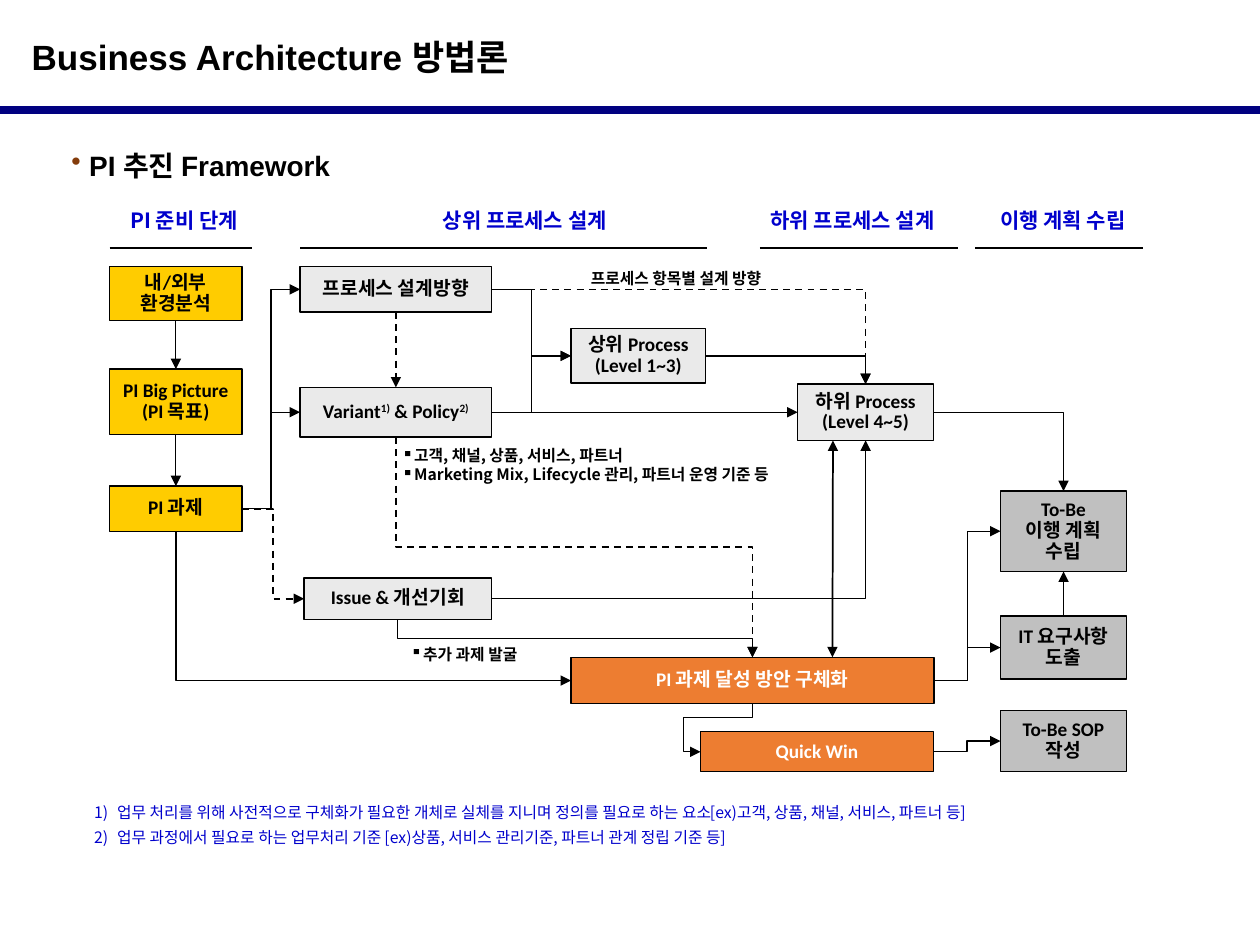
from lxml.etree import SubElement
from pptx import Presentation
from pptx.dml.color import RGBColor
from pptx.enum.dml import MSO_LINE
from pptx.enum.shapes import MSO_CONNECTOR, MSO_SHAPE
from pptx.enum.text import MSO_ANCHOR, MSO_AUTO_SIZE, PP_ALIGN
from pptx.oxml.ns import qn
from pptx.util import Cm, Pt

BLACK = RGBColor(0x00, 0x00, 0x00)
WHITE = RGBColor(0xFF, 0xFF, 0xFF)
NAVY = RGBColor(0x00, 0x00, 0x80)
BLUE = RGBColor(0x00, 0x00, 0xCC)
BROWN = RGBColor(0x84, 0x3C, 0x0B)
YELLOW = RGBColor(0xFF, 0xCC, 0x00)
PALE = RGBColor(0xEA, 0xEA, 0xEA)
GRAY = RGBColor(0xC0, 0xC0, 0xC0)
ORANGE = RGBColor(0xED, 0x7D, 0x31)

KOREAN = "Noto Sans CJK KR"
TITLE = {"size": Pt(20), "bold": True, "name": "Arial"}
SUBTITLE = {"size": Pt(16), "bold": True, "name": "Arial"}
STAGE = {"size": Pt(12), "bold": True, "name": KOREAN}
NODE = {"size": Pt(11), "bold": True, "name": "Calibri"}
NOTE = {"size": Pt(9), "bold": True, "name": KOREAN}
FOOTNOTE = {"size": Pt(9), "bold": False, "name": KOREAN}
NO_MARGIN = (0, 0, 0, 0)
DEFAULT_MARGIN = (0.25, 0.13, 0.25, 0.13)
SIDES = {"left": (0, 0.5), "right": (1, 0.5), "top": (0.5, 0), "bottom": (0.5, 1),
         "bottom left": (0.26, 1), "top right": (0.72, 0)}

STAGES = [
    ("PI 준비 단계", 0, 2.87, -0.15, 3.3),
    ("상위 프로세스 설계", 3.84, 8.2, 5.46, 5.82),
    ("하위 프로세스 설계", 13.11, 3.99, 12.67, 4.62),
    ("이행 계획 수립", 17.45, 3.38, 17.5, 3.43),
]
NODES = {
    "analysis": ((0, 0, 2.67, 1.09), YELLOW, ["내/외부", "환경분석"]),
    "picture": ((0, 2.06, 2.67, 1.32), YELLOW, ["PI Big Picture", "(PI 목표)"]),
    "task": ((0, 4.42, 2.67, 0.91), YELLOW, ["PI 과제"]),
    "direction": ((3.84, 0, 3.86, 0.91), PALE, ["프로세스 설계방향"]),
    "variant": ((3.84, 2.43, 3.86, 1), PALE, [("Variant", "1)", " & Policy", "2)")]),
    "upper": ((9.3, 1.25, 2.72, 1.09), PALE, ["상위 Process", "(Level 1~3)"]),
    "issue": ((3.92, 6.27, 3.78, 0.84), PALE, ["Issue & 개선기회"]),
    "lower": ((13.87, 2.36, 2.74, 1.14), PALE, ["하위 Process", "(Level 4~5)"]),
    "plan": ((17.96, 4.52, 2.54, 1.62), GRAY, ["To-Be", "이행 계획", "수립"]),
    "system": ((17.96, 7.04, 2.54, 1.27), GRAY, ["IT 요구사항", "도출"]),
    "procedure": ((17.96, 8.94, 2.54, 1.24), GRAY, ["To-Be SOP", "작성"]),
    "solution": ((9.3, 7.87, 7.32, 0.94), ORANGE, ["PI 과제 달성 방안 구체화"]),
    "quick win": ((11.91, 9.37, 4.7, 0.81), ORANGE, ["Quick Win"]),
}
DASHED = {"width": Pt(1), "dash_style": MSO_LINE.DASH}
SOLID = {"width": Pt(0.75)}
ARROWS = [
    ("analysis", "bottom", "picture", "top", "straight", SOLID),
    ("picture", "bottom", "task", "top", "straight", SOLID),
    ("task", "right", "direction", "left", "across", SOLID),
    ("task", "right", "variant", "left", "across", SOLID),
    ("task", "right", "issue", "left", "across", DASHED),
    ("task", "bottom", "solution", "left", "down corner", SOLID),
    ("direction", "bottom", "variant", "top", "straight", DASHED),
    ("direction", "right", "upper", "left", "across", SOLID),
    ("direction", "right", "lower", "top", "corner", DASHED),
    ("variant", "right", "upper", "left", "across", SOLID),
    ("variant", "right", "lower", "left", "straight", SOLID),
    ("variant", "bottom", "solution", "top", "down", DASHED),
    ("upper", "right", "lower", "top", "corner", SOLID),
    ("issue", "right", "lower", "bottom", "corner", SOLID),
    ("issue", "bottom", "solution", "top", "down", SOLID),
    ("lower", "right", "plan", "top", "corner", SOLID),
    ("solution", "right", "plan", "left", "across", SOLID),
    ("solution", "right", "system", "left", "across", SOLID),
    ("solution", "bottom", "quick win", "left", "down around", SOLID),
    ("quick win", "right", "procedure", "left", "across", SOLID),
    ("system", "top", "plan", "bottom", "straight", SOLID),
    ("lower", "bottom left", "solution", "top right", "double", {"width": Pt(1)}),
]
ROUTES = {"corner": ("bentConnector2", []), "down corner": ("bentConnector2", []),
          "across": ("bentConnector3", [50000]), "down": ("bentConnector3", [50000]),
          "down around": ("bentConnector4", [29000, 132800])}


def set_values(target, values):
    """Set each named attribute of the target."""
    for name, value in values.items():
        setattr(target, name, value)


def add_bullet(paragraph, kind, mark, indent, color=None):
    """Give a paragraph a hanging character or number bullet."""
    properties = paragraph._p.get_or_add_pPr()
    properties.set("marL", str(Cm(indent)))
    properties.set("indent", str(-Cm(indent)))
    if color is not None:
        SubElement(SubElement(properties, qn("a:buClr")), qn("a:srgbClr"), val=str(color))
    attribute = "char" if kind == "a:buChar" else "type"
    SubElement(properties, qn(kind), {attribute: mark})


def write_text(shape, lines, font, color, margins=NO_MARGIN, bullet=None, layout=None, **frame):
    """Write lines into a shape; odd parts of a tuple are superscript."""
    text_frame = shape.text_frame
    sides = ("margin_left", "margin_top", "margin_right", "margin_bottom")
    set_values(text_frame, {"word_wrap": True, **dict(zip(sides, map(Cm, margins))), **frame})
    for index, line in enumerate(lines):
        paragraph = text_frame.add_paragraph() if index else text_frame.paragraphs[0]
        if bullet:
            add_bullet(paragraph, *bullet)
        set_values(paragraph, layout or {})
        for position, part in enumerate(line if isinstance(line, tuple) else (line,)):
            run = paragraph.add_run()
            run.text = part
            set_values(run.font, font)
            run.font.color.rgb = color
            properties = run._r.get_or_add_rPr()
            SubElement(properties, qn("a:ea"), typeface=KOREAN)
            if position % 2:
                properties.set("baseline", "30000")


def add_text(slide, box, lines, font, color, **options):
    """Add a text box that grows with its text."""
    shape = slide.shapes.add_textbox(*map(Cm, box))
    write_text(shape, lines, font, color, auto_size=MSO_AUTO_SIZE.SHAPE_TO_FIT_TEXT, **options)


def add_line(slide, start, end, values, color=BLACK, route="straight", ends=()):
    """Draw a straight or bent line with arrowheads at the given ends."""
    bent = route in ROUTES
    turn = 0
    if route.startswith("down"):
        (x1, y1), (x2, y2) = start, end
        middle_x, middle_y = (x1 + x2) / 2, (y1 + y2) / 2
        half_width, half_height = (y2 - y1) / 2, abs(x2 - x1) / 2
        turn, sign = (270, 1) if x2 > x1 else (90, -1)
        start = (middle_x + sign * half_width, middle_y - half_height)
        end = (middle_x - sign * half_width, middle_y + half_height)
    kind = MSO_CONNECTOR.ELBOW if bent else MSO_CONNECTOR.STRAIGHT
    connector = slide.shapes.add_connector(kind, *map(Cm, (*start, *end)))
    set_values(connector.line, values)
    connector.line.color.rgb = color
    properties = connector._element.spPr
    if turn:
        properties.find(qn("a:xfrm")).set("rot", str(turn * 60000))
    if bent:
        preset, adjustments = ROUTES[route]
        geometry = properties.find(qn("a:prstGeom"))
        geometry.set("prst", preset)
        guides = geometry.find(qn("a:avLst"))
        for number, value in enumerate(adjustments, 1):
            SubElement(guides, qn("a:gd"), name=f"adj{number}", fmla=f"val {value}")
    for tag in ends:
        SubElement(properties.find(qn("a:ln")), qn(tag), type="triangle")
    SubElement(properties, qn("a:effectLst"))


def add_header(slide, left, top, width):
    """Place the title, the rule under it and the subtitle."""
    add_text(slide, (left, top + 0.58, width, 1.12), ["Business Architecture 방법론"], TITLE, BLACK,
             margins=(0.64, 0.13, 0.25, 0.13))
    add_line(slide, (left, top + 2.21), (left + width, top + 2.21), {"width": Pt(4.5)}, NAVY)
    add_text(slide, (left + 1.19, top + 2.72, width - 2.38, 0.99), ["PI 추진 Framework"], SUBTITLE,
             BLACK, margins=DEFAULT_MARGIN, bullet=("a:buChar", "•", 0.36, BROWN),
             layout={"alignment": PP_ALIGN.JUSTIFY, "line_spacing": 1.2})


def add_stages(slide, left, top):
    """Place the stage headings and the lines under them."""
    for label, line_x, line_width, label_x, label_width in STAGES:
        start = left + line_x
        add_line(slide, (start, top + 0.81), (start + line_width, top + 0.81), SOLID)
        add_text(slide, (left + label_x, top, label_width, 0.51), [label], STAGE, BLUE,
                 layout={"alignment": PP_ALIGN.CENTER})


def add_node(slide, box, fill, lines):
    """Place one process box."""
    shape = slide.shapes.add_shape(MSO_SHAPE.RECTANGLE, *map(Cm, box))
    shape.shadow.inherit = False
    shape.fill.solid()
    shape.fill.fore_color.rgb = fill
    shape.line.color.rgb = BLACK
    shape.line.width = Pt(0.75)
    write_text(shape, lines, NODE, WHITE if fill == ORANGE else BLACK, margins=(0.1, 0, 0.1, 0),
               vertical_anchor=MSO_ANCHOR.MIDDLE,
               layout={"alignment": PP_ALIGN.CENTER, "line_spacing": 0.9})


def add_framework(slide, left, top):
    """Place the arrows, process boxes and notes of the framework."""
    def anchor(name, side):
        """Find the point on a side of a process box."""
        x, y, width, height = NODES[name][0]
        across, down = SIDES[side]
        return left + x + across * width, top + y + down * height

    for source, source_side, target, target_side, route, values in ARROWS:
        ends = ("a:headEnd", "a:tailEnd") if route == "double" else ("a:tailEnd",)
        add_line(slide, anchor(source, source_side), anchor(target, target_side), values,
                 route=route, ends=ends)
    for (x, y, width, height), fill, lines in NODES.values():
        add_node(slide, (left + x, top + y, width, height), fill, lines)
    square = ("a:buChar", "▪", 0.25, BLACK)
    for x, y, width, height, bullet, lines in [
        (9.7, 0.03, 3.84, 0.38, None, ["프로세스 항목별 설계 방향"]),
        (5.89, 3.61, 7.92, 0.76, square, ["고객, 채널, 상품, 서비스, 파트너",
                                          "Marketing Mix, Lifecycle 관리, 파트너 운영 기준 등"]),
        (6.07, 7.62, 2.41, 0.38, square, ["추가 과제 발굴"]),
    ]:
        add_text(slide, (left + x, top + y, width, height), lines, NOTE, BLACK, bullet=bullet)


def add_footnotes(slide, box):
    """Place the numbered footnotes."""
    add_text(slide, box, [
        "업무 처리를 위해 사전적으로 구체화가 필요한 개체로 실체를 지니며 정의를 필요로 하는 요소[ex)고객, 상품, 채널, 서비스, 파트너 등]",
        "업무 과정에서 필요로 하는 업무처리 기준 [ex)상품, 서비스 관리기준, 파트너 관계 정립 기준 등]",
    ], FOOTNOTE, BLUE, bullet=("a:buAutoNum", "arabicParenR", 0.46),
        layout={"line_spacing": 1.3}, vertical_anchor=MSO_ANCHOR.BOTTOM)


def main():
    """Build and save the slide."""
    presentation = Presentation()
    set_values(presentation, {"slide_width": Cm(25.4), "slide_height": Cm(19.05)})
    slide = presentation.slides.add_slide(presentation.slide_layouts[6])
    add_header(slide, 0, 0, 25.4)
    add_stages(slide, 2.21, 4.19)
    add_framework(slide, 2.21, 5.38)
    add_footnotes(slide, (1.9, 16.08, 22.1, 0.99))
    presentation.save("out.pptx")


if __name__ == "__main__":
    main()
